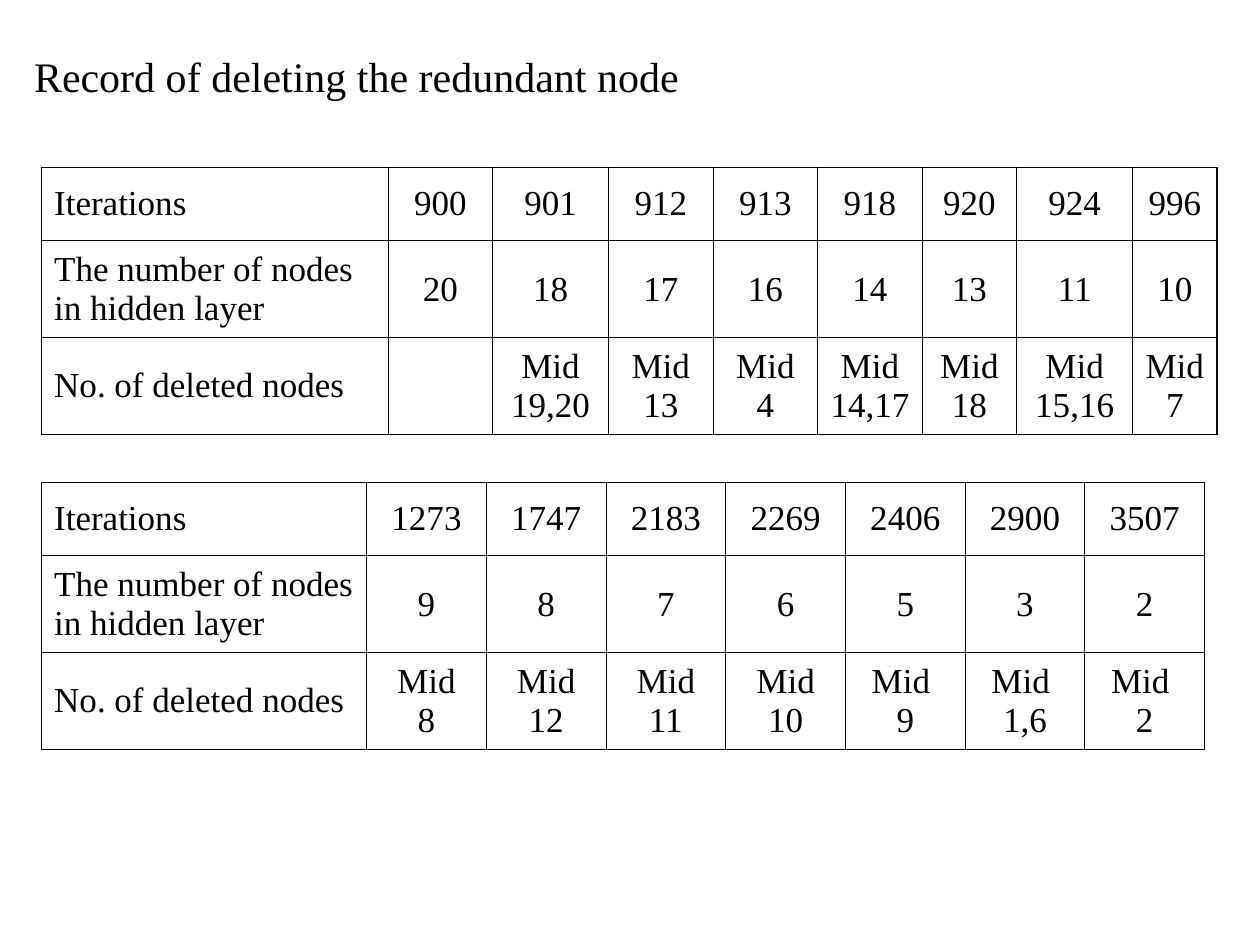
"""Build a slide with two tables that record the deletion of redundant nodes."""
from lxml import etree
from pptx import Presentation
from pptx import util as u
from pptx.dml.color import RGBColor
from pptx.enum import text
from pptx.oxml import ns

THEME = {"font": "Times New Roman", "ink": "000000", "title": 24, "cell": 20,
         "outer": 1.08, "inner": 0.45}
TITLE = "Record of deleting the redundant node"
HEADS = ["Iterations", "The number of nodes in hidden layer", "No. of deleted nodes"]
ROWS = [0.58, 0.77, 0.77]
LEFT = 0.33
TABLES = [
    {"top": 1.33,
     "cols": [2.75, 0.83, 0.92, 0.83, 0.83, 0.83, 0.75, 0.92, 0.67],
     "data": [
         ["900", "901", "912", "913", "918", "920", "924", "996"],
         ["20", "18", "17", "16", "14", "13", "11", "10"],
         ["", "Mid 19,20", "Mid\n13", "Mid\n4", "Mid\n14,17", "Mid\n18",
          "Mid\n15,16", "Mid\n7"]]},
    {"top": 3.83,
     "cols": [2.58] + [0.95] * 7,
     "data": [
         ["1273", "1747", "2183", "2269", "2406", "2900", "3507"],
         ["9", "8", "7", "6", "5", "3", "2"],
         ["Mid\n8", "Mid\n12", "Mid\n11", "Mid 10", "Mid \n9", "Mid \n1,6",
          "Mid \n2"]]},
]


def style(para, size, align):
    """Set the font and alignment of a paragraph."""
    para.alignment = align
    para.font.name = THEME["font"]
    para.font.size = u.Pt(size)
    para.font.color.rgb = RGBColor.from_string(THEME["ink"])


def border(cell, edges):
    """Draw the four cell borders, heavier on the table's outer edges."""
    props = cell._tc.get_or_add_tcPr()
    for i, (side, outer) in enumerate(edges.items()):
        width = u.Pt(THEME["outer" if outer else "inner"])
        line = etree.Element(ns.qn("a:ln" + side), w=str(int(width)))
        fill = etree.SubElement(line, ns.qn("a:solidFill"))
        etree.SubElement(fill, ns.qn("a:srgbClr"), val=THEME["ink"])
        props.insert(i, line)


def add_grid(slide, top, cols, data):
    """Add one table with its row heads."""
    frame = slide.shapes.add_table(
        len(ROWS), len(cols), u.Inches(LEFT), u.Inches(top),
        u.Inches(sum(cols)), u.Inches(sum(ROWS)))
    table = frame.table
    table.first_row = table.horz_banding = False
    for col, width in zip(table.columns, cols):
        col.width = u.Inches(width)
    for r, (head, vals) in enumerate(zip(HEADS, data)):
        table.rows[r].height = u.Inches(ROWS[r])
        for c, words in enumerate([head] + vals):
            cell = table.cell(r, c)
            cell.text = words
            cell.vertical_anchor = text.MSO_ANCHOR.MIDDLE
            cell.fill.background()
            border(cell, {"L": c == 0, "R": c == len(cols) - 1,
                          "T": r == 0, "B": r == len(ROWS) - 1})
            for para in cell.text_frame.paragraphs:
                style(para, THEME["cell"],
                      text.PP_ALIGN.CENTER if c else text.PP_ALIGN.LEFT)
                if r == 0:
                    para.space_before = u.Pt(5)


def main():
    """Build and save the slide."""
    deck = Presentation()
    deck.slide_width, deck.slide_height = u.Inches(10), u.Inches(7.5)
    slide = deck.slides.add_slide(deck.slide_layouts[5])
    title = slide.shapes.title
    title.left, title.top = u.Inches(0.17), u.Inches(0.35)
    title.width, title.height = u.Inches(5.33), u.Inches(0.5)
    title.text = TITLE
    title.text_frame.vertical_anchor = text.MSO_ANCHOR.MIDDLE
    style(title.text_frame.paragraphs[0], THEME["title"], text.PP_ALIGN.LEFT)
    for grid in TABLES:
        add_grid(slide, **grid)
    deck.save("out.pptx")


if __name__ == "__main__":
    main()
